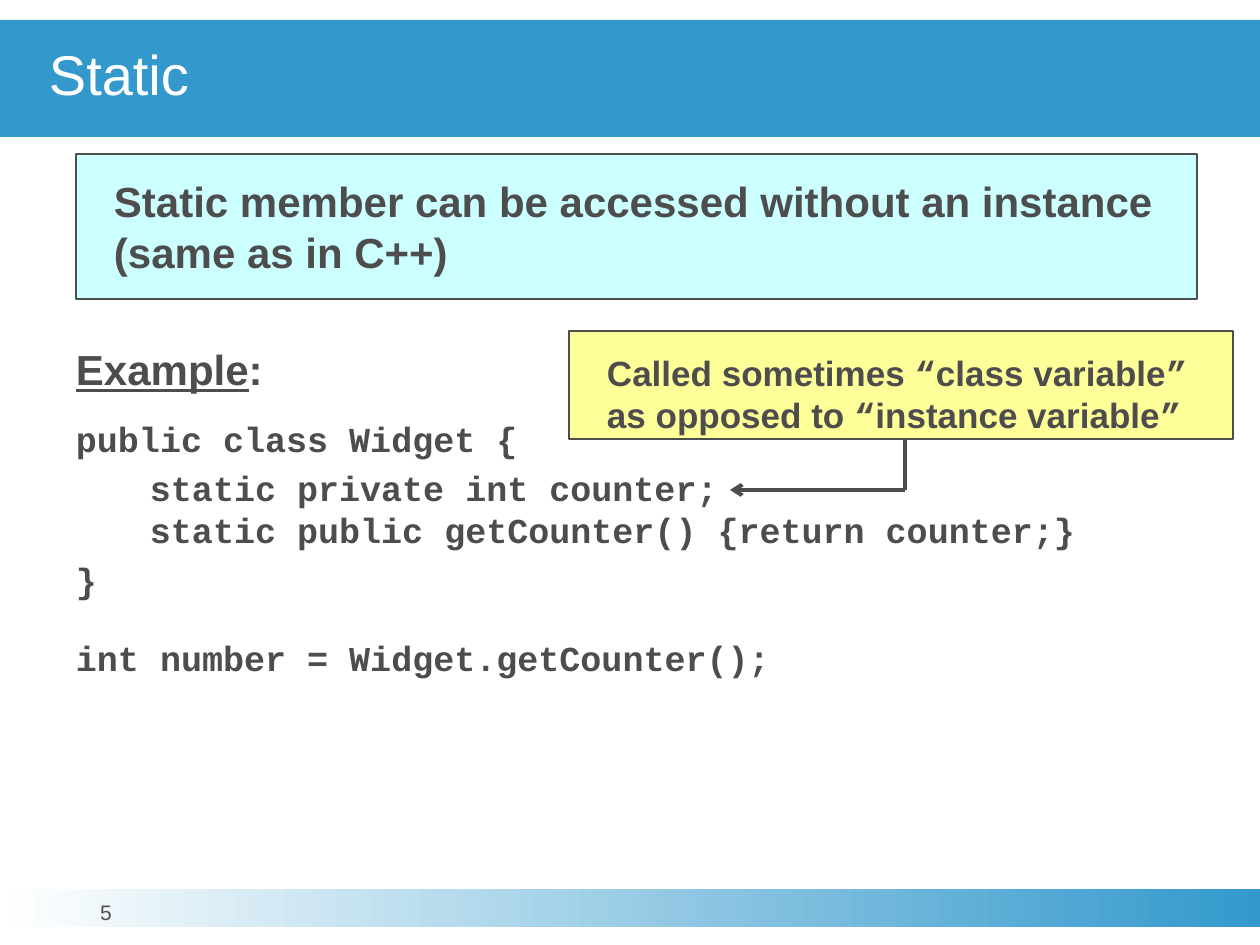
from dataclasses import dataclass
from typing import Optional

from lxml import etree
from pptx import Presentation
from pptx import util as u
from pptx.dml.color import RGBColor
from pptx.enum import shapes, text
from pptx.oxml.ns import qn

PIXEL = 914400 // 126
WHITE = RGBColor(0xFF, 0xFF, 0xFF)
BLUE = RGBColor(0x33, 0x99, 0xCC)
GRAY = RGBColor(0x4D, 0x4D, 0x4D)
CYAN = RGBColor(0xCC, 0xFF, 0xFF)
YELLOW = RGBColor(0xFF, 0xFF, 0x99)
SANS = "Arial"
MONO = "Courier New"


@dataclass(frozen=True)
class Run:
    words: str
    size: int
    font: str = SANS
    bold: bool = True
    underline: bool = False
    color: RGBColor = GRAY


@dataclass(frozen=True)
class Paragraph:
    runs: tuple[Run, ...]
    spacing: float
    before: float = 0
    indent: int = 0
    centered: bool = False


@dataclass(frozen=True)
class Box:
    left: int
    top: int
    width: int
    height: int
    paragraphs: tuple[Paragraph, ...] = ()
    fill: Optional[RGBColor] = None
    outlined: bool = False
    gradient: bool = False
    middle: bool = False
    insets: tuple[int, int, int] = (0, 0, 0)


@dataclass(frozen=True)
class Line:
    start: tuple[int, int]
    end: tuple[int, int]
    arrow: bool = False


def px(length: int) -> u.Emu:
    return u.Emu(length * PIXEL)


def add_run(paragraph, item: Run) -> None:
    for index, words in enumerate(item.words.split("\n")):
        if index:
            paragraph.add_line_break()
        run = paragraph.add_run()
        run.text = words
        run.font.name = item.font
        run.font.size = u.Pt(item.size)
        run.font.bold = item.bold
        run.font.underline = item.underline
        run.font.color.rgb = item.color


def fill_text(frame, box: Box) -> None:
    frame.word_wrap = True
    frame.vertical_anchor = text.MSO_ANCHOR.MIDDLE if box.middle else text.MSO_ANCHOR.TOP
    left, top, right = box.insets
    frame.margin_left, frame.margin_top, frame.margin_right = px(left), px(top), px(right)
    frame.margin_bottom = 0
    for index, item in enumerate(box.paragraphs):
        paragraph = frame.add_paragraph() if index else frame.paragraphs[0]
        paragraph.alignment = text.PP_ALIGN.CENTER if item.centered else text.PP_ALIGN.LEFT
        paragraph.line_spacing = item.spacing if item.spacing < 2 else u.Pt(item.spacing)
        paragraph.space_before = u.Pt(item.before)
        if item.indent:
            properties = paragraph._p.get_or_add_pPr()
            properties.set("marL", str(px(item.indent)))
            properties.set("indent", "0")
        for run in item.runs:
            add_run(paragraph, run)


def add_box(slide, box: Box) -> None:
    place = px(box.left), px(box.top), px(box.width), px(box.height)
    if box.fill is None and not box.gradient:
        shape = slide.shapes.add_textbox(*place)
    else:
        shape = slide.shapes.add_shape(shapes.MSO_SHAPE.RECTANGLE, *place)
        shape.shadow.inherit = False
        if box.gradient:
            shape.fill.gradient()
            shape.fill.gradient_angle = 0
            for stop, color, position in zip(shape.fill.gradient_stops, (WHITE, BLUE), (0, 1)):
                stop.color.rgb = color
                stop.position = position
        else:
            shape.fill.solid()
            shape.fill.fore_color.rgb = box.fill
        if box.outlined:
            shape.line.color.rgb = GRAY
            shape.line.width = u.Pt(0.75)
        else:
            shape.line.fill.background()
    if box.paragraphs:
        fill_text(shape.text_frame, box)


def add_line(slide, line: Line) -> None:
    points = [px(value) for value in line.start + line.end]
    connector = slide.shapes.add_connector(shapes.MSO_CONNECTOR.STRAIGHT, *points)
    connector.line.color.rgb = GRAY
    connector.line.width = u.Pt(2.25)
    if line.arrow:
        etree.SubElement(connector.line._get_or_add_ln(), qn("a:tailEnd"), type="arrow")
    etree.SubElement(connector._element.spPr, qn("a:effectLst"))


def code(words: str, before: float, indent: int = 0) -> Paragraph:
    return Paragraph((Run(words, 20, MONO),), 24, before, indent)


def quoted(words: str) -> tuple[Run, ...]:
    return Run("\u201c", 20, MONO), Run(words, 20), Run("\u201d", 20, MONO)


FOOTER = Box(0, 889, 1260, 38, gradient=True)
NUMBER = Box(39, 902, 134, 39, (Paragraph((Run("5", 12, bold=False),), 13, centered=True),))
TITLE = Box(
    0, 20, 1260, 117,
    (Paragraph((Run("Static", 32, bold=False, color=WHITE),), 0.85),),
    fill=BLUE, middle=True, insets=(49, 0, 0),
)
EXAMPLE = Box(
    63, 338, 1134, 368,
    (
        Paragraph((Run("Example", 24, underline=True), Run(":", 24)), 28.8),
        code("public class Widget {", 13),
        code("static private int counter;\nstatic public getCounter() {return counter;}", 4, 74),
        code("}", 4.5),
        code("int number = Widget.getCounter();", 21),
    ),
    insets=(13, 6, 13),
)
STATEMENT = Box(
    76, 154, 1121, 145,
    (Paragraph((Run("Static member can be accessed without an instance (same as in C++)", 24),), 28.8),),
    fill=CYAN, outlined=True, insets=(38, 22, 0),
)
CALLOUT = Box(
    569, 331, 664, 108,
    (
        Paragraph(
            (
                Run("Called sometimes ", 20), *quoted("class variable"),
                Run(" as opposed to ", 20), *quoted("instance variable"),
            ),
            24,
        ),
    ),
    fill=YELLOW, outlined=True, insets=(38, 21, 20),
)
CORNER = (905, 490)
ARROW = (Line((905, 439), CORNER), Line(CORNER, (730, 490), arrow=True))


def main() -> None:
    presentation = Presentation()
    presentation.slide_width = px(1260)
    presentation.slide_height = px(945)
    slide = presentation.slides.add_slide(presentation.slide_layouts[6])
    for box in (FOOTER, NUMBER, TITLE, EXAMPLE, STATEMENT, CALLOUT):
        add_box(slide, box)
    for line in ARROW:
        add_line(slide, line)
    presentation.save("out.pptx")


main()
